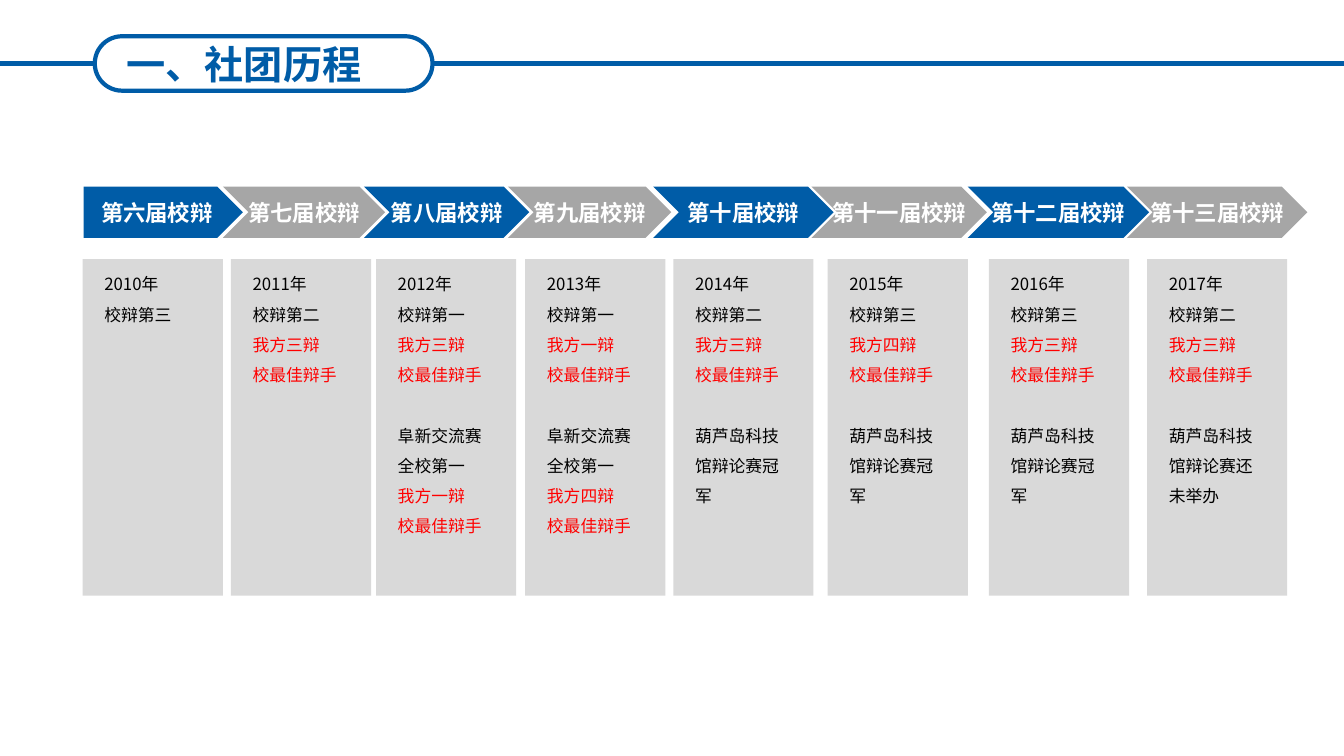
from dataclasses import dataclass
from math import ceil

from lxml.etree import SubElement
from pptx import Presentation
from pptx.dml.color import RGBColor
from pptx.enum.shapes import MSO_CONNECTOR, MSO_SHAPE
from pptx.enum.text import MSO_ANCHOR, MSO_AUTO_SIZE, PP_ALIGN
from pptx.oxml.ns import qn
from pptx.util import Inches, Pt

FONT = "Noto Sans CJK SC"
HUES = {"blue": "005CA7", "gray": "A6A6A6", "card": "D9D9D9",
        "white": "FFFFFF", "black": "000000", "red": "FF0000"}
WIDE, HIGH = Inches(13.33), Inches(7.5)

# Rows of the 100 by 100 grid
ARROW_TOP, ARROW_ROWS = 24.67, 6.8
CARD_TOP, CARD_ROWS, CARD_COLS = 34.27, 44.53, 10.43
TEXT_SHIFT, TEXT_COLS, LINE_ROWS = 0.88, 8.7, 4
LINE_CHARS = 5
AXIS = 8.4


@dataclass
class Stage:
    name: str
    left: float  # arrow, in columns
    cols: float
    card: float  # left edge of the card, in columns
    year: str
    rank: str
    seat: str = ""
    event: str = ""
    prize: str = ""  # seat that won at the event


FUXIN, HULU = "阜新交流赛全校第一", "葫芦岛科技馆辩论赛"
STAGES = [
    Stage("第六届", 6.23, 11.85, 6.15, "2010年", "第三"),
    Stage("第七届", 16.58, 12.08, 17.18, "2011年", "第二", "三辩"),
    Stage("第八届", 27.08, 12.3, 27.98, "2012年", "第一", "三辩", FUXIN, "一辩"),
    Stage("第九届", 37.8, 12.15, 39.08, "2013年", "第一", "一辩", FUXIN, "四辩"),
    Stage("第十届", 48.6, 13.43, 50.1, "2014年", "第二", "三辩", HULU + "冠军"),
    Stage("第十一届", 60.38, 13.05, 61.58, "2015年", "第三", "四辩", HULU + "冠军"),
    Stage("第十二届", 72, 13.5, 73.58, "2016年", "第三", "三辩", HULU + "冠军"),
    Stage("第十三届", 83.85, 13.43, 85.35, "2017年", "第二", "三辩", HULU + "还未举办"),
]


def col(share: float) -> int:
    return round(WIDE * share / 100)


def row(share: float) -> int:
    return round(HIGH * share / 100)


def box(left: float, top: float, cols: float, rows: float) -> tuple[int, ...]:
    return col(left), row(top), col(cols), row(rows)


def paint(hue: str) -> RGBColor:
    return RGBColor.from_string(HUES[hue])


def style(para, size: float, hue: str, bold: bool = False) -> None:
    font = para.font
    font.size, font.bold, font.name = Pt(size), bold, FONT
    font.color.rgb = paint(hue)
    SubElement(para._p.pPr.find(qn("a:defRPr")), qn("a:ea"), typeface=FONT)


def block(shapes, kind: MSO_SHAPE, area: tuple[int, ...], hue: str):
    shape = shapes.add_shape(kind, *area)
    shape.shadow.inherit = False
    shape.fill.solid()
    shape.fill.fore_color.rgb = paint(hue)
    shape.line.fill.background()
    return shape


def arrow(shapes, stage: Stage, index: int) -> None:
    kind = MSO_SHAPE.CHEVRON if index else MSO_SHAPE.PENTAGON
    area = box(stage.left, ARROW_TOP, stage.cols, ARROW_ROWS)
    shape = block(shapes, kind, area, "gray" if index % 2 else "blue")
    frame = shape.text_frame
    frame.word_wrap = False
    frame.vertical_anchor = MSO_ANCHOR.MIDDLE
    para = frame.paragraphs[0]
    para.text = stage.name + "校辩"
    para.alignment = PP_ALIGN.CENTER
    style(para, 16, "white", True)


def award(seat: str) -> list[tuple[str, str]]:
    return [("我方" + seat, "red"), ("校最佳辩手", "red")] if seat else []


def card(shapes, stage: Stage) -> None:
    group = shapes.add_group_shape().shapes
    block(group, MSO_SHAPE.RECTANGLE,
          box(stage.card, CARD_TOP, CARD_COLS, CARD_ROWS), "card")
    lines = [(stage.year, "black"), ("校辩" + stage.rank, "black"),
             *award(stage.seat)]
    if stage.event:
        lines += [(stage.event, "black"), *award(stage.prize)]
    count = sum(ceil(len(text) / LINE_CHARS) for text, _ in lines)
    rows = (count + bool(stage.event)) * LINE_ROWS + 1.33
    note = group.add_textbox(
        *box(stage.card + TEXT_SHIFT, CARD_TOP, TEXT_COLS, rows))
    frame = note.text_frame
    frame.word_wrap = True
    frame.auto_size = MSO_AUTO_SIZE.SHAPE_TO_FIT_TEXT
    for index, (text, hue) in enumerate(lines):
        para = frame.add_paragraph() if index else frame.paragraphs[0]
        para.text = text
        para.line_spacing = 1.5
        if text == stage.event:
            para.space_before = Pt(21.6)
        style(para, 12, hue)


def rule(shapes, edge: float, pill, site: int) -> None:
    line = shapes.add_connector(
        MSO_CONNECTOR.STRAIGHT, col(edge), row(AXIS), col(edge), row(AXIS))
    line.end_connect(pill, site)
    line.line.color.rgb = paint("blue")
    line.line.width = Pt(3)
    SubElement(line._element.spPr, qn("a:effectLst"))


def head(slide) -> None:
    pill = block(slide.shapes, MSO_SHAPE.ROUNDED_RECTANGLE,
                 box(7.05, AXIS - 3.6, 25.13, 7.2), "white")
    pill.adjustments[0] = 0.5
    pill.fill.background()
    pill.line.color.rgb = paint("blue")
    pill.line.width = Pt(3)
    rule(slide.shapes, 0, pill, 1)
    rule(slide.shapes, 100, pill, 3)

    title = slide.shapes.title
    title.left, title.top, title.width, title.height = box(5.48, 4.4, 25.35, 8)
    frame = title.text_frame
    frame.vertical_anchor = MSO_ANCHOR.MIDDLE
    para = frame.paragraphs[0]
    para.text = "一、社团历程"
    para.alignment = PP_ALIGN.CENTER
    style(para, 28, "blue", True)


def main() -> None:
    deck = Presentation()
    deck.slide_width, deck.slide_height = WIDE, HIGH
    slide = deck.slides.add_slide(deck.slide_layouts[5])

    # Heading with its rules
    head(slide)

    # Timeline arrows and the cards below them
    for index, stage in enumerate(STAGES):
        arrow(slide.shapes, stage, index)
    for stage in STAGES:
        card(slide.shapes, stage)

    deck.save("out.pptx")


if __name__ == "__main__":
    main()
